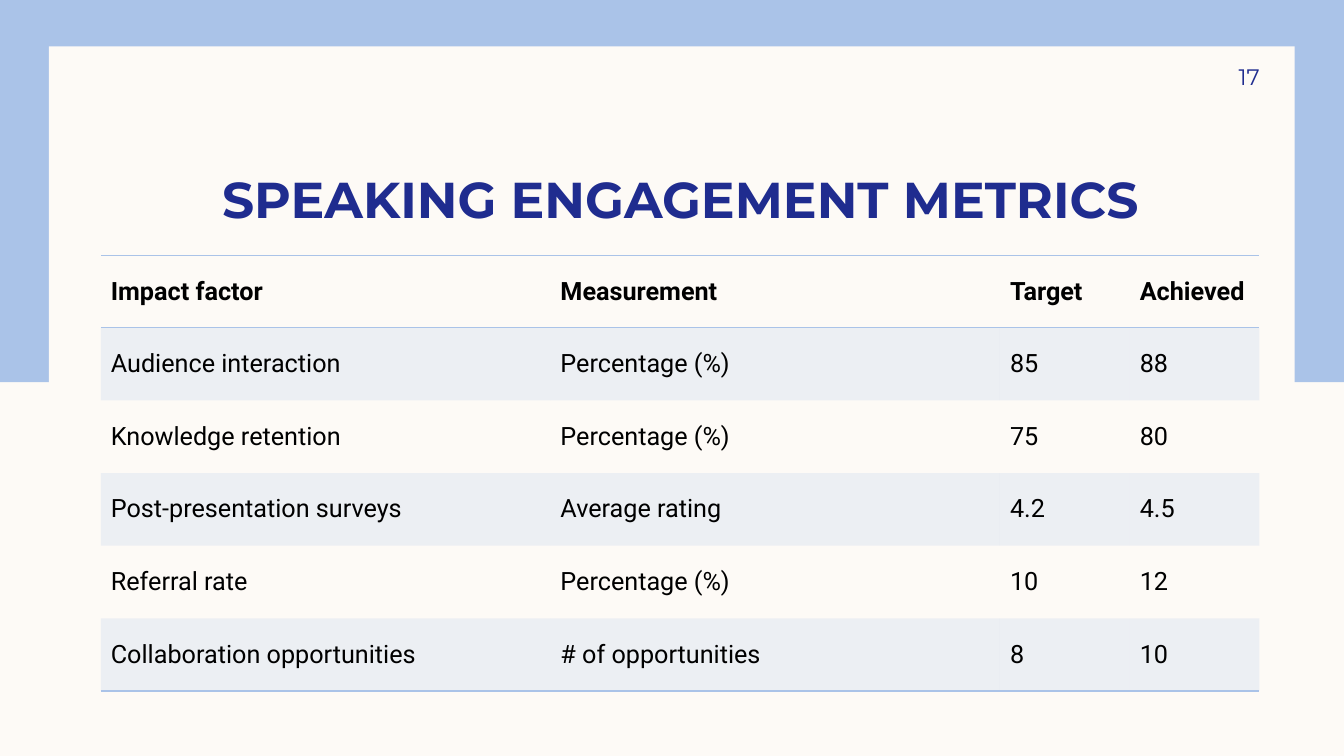
import pptx
import pptx.dml.color
import pptx.enum.shapes
import pptx.enum.text
import pptx.oxml
import pptx.oxml.ns
import pptx.util
from pptx.dml.color import RGBColor
from pptx.util import Cm

# Content
TITLE = "SPEAKING ENGAGEMENT METRICS"
PAGE_NUMBER = "17"
METRICS = [
    ("Impact factor", "Measurement", "Target", "Achieved"),
    ("Audience interaction", "Percentage (%)", "85", "88"),
    ("Knowledge retention", "Percentage (%)", "75", "80"),
    ("Post-presentation surveys", "Average rating", "4.2", "4.5"),
    ("Referral rate", "Percentage (%)", "10", "12"),
    ("Collaboration opportunities", "# of opportunities", "8", "10"),
]

# Format
CREAM = RGBColor(0xFD, 0xFA, 0xF6)
SKY = RGBColor(0xAA, 0xC3, 0xE8)
NAVY = RGBColor(0x1F, 0x2C, 0x8F)
BLACK = RGBColor(0, 0, 0)
BAND_ALPHA = 20000
NO_STYLE = "{2D5ABB26-0587-4C30-8999-92F81FD0307C}"

SLIDE_WIDTH, SLIDE_HEIGHT = Cm(33.87), Cm(19.05)
COLUMN_WIDTHS = [Cm(11.33), Cm(11.33), Cm(3.27), Cm(3.27)]
ROW_HEIGHT = Cm(1.83)
TABLE_LEFT, TABLE_TOP = Cm(2.54), Cm(6.43)

ANCHOR = pptx.enum.text.MSO_ANCHOR
ALIGN = pptx.enum.text.PP_ALIGN
TITLE_FONT = {"name": "Montserrat", "size": pptx.util.Pt(36), "bold": True}
NUMBER_FONT = {"name": "Montserrat", "size": pptx.util.Pt(16), "bold": False}
CELL_FONT = {"name": "Roboto", "size": pptx.util.Pt(18)}


def set_all(target, values):
    for name, value in values.items():
        setattr(target, name, value)


def write(paragraph, text, font, color):
    run = paragraph.add_run()
    run.text = text
    set_all(run.font, font)
    run.font.color.rgb = color


def add_panel(slide, left, top, width, height, color):
    panel = slide.shapes.add_shape(
        pptx.enum.shapes.MSO_SHAPE.RECTANGLE, left, top, width, height)
    panel.shadow.inherit = False
    panel.fill.solid()
    panel.fill.fore_color.rgb = color
    panel.line.fill.background()


def add_text(slide, box, text, font, frame_format, alignment):
    frame = slide.shapes.add_textbox(*box).text_frame
    set_all(frame, {"word_wrap": True, **frame_format})
    frame.paragraphs[0].alignment = alignment
    write(frame.paragraphs[0], text, font, NAVY)


def add_border(cell, side):
    properties = cell._tc.get_or_add_tcPr()
    properties.append(pptx.oxml.parse_xml(
        f'<a:{side} {pptx.oxml.ns.nsdecls("a")} w="12700"><a:solidFill>'
        f'<a:srgbClr val="{SKY}"/></a:solidFill></a:{side}>'))


def fill_band(cell):
    cell.fill.solid()
    cell.fill.fore_color.rgb = SKY
    color = cell._tc.tcPr.find(".//" + pptx.oxml.ns.qn("a:solidFill") + "[last()]/..")
    color = cell._tc.tcPr.find(pptx.oxml.ns.qn("a:solidFill"))[0]
    color.append(pptx.oxml.parse_xml(
        f'<a:alpha {pptx.oxml.ns.nsdecls("a")} val="{BAND_ALPHA}"/>'))


def add_metrics_table(slide):
    table = slide.shapes.add_table(
        len(METRICS), len(COLUMN_WIDTHS), TABLE_LEFT, TABLE_TOP,
        sum(COLUMN_WIDTHS), ROW_HEIGHT * len(METRICS)).table
    set_all(table, {"first_row": False, "horz_banding": False})
    table._tbl.tblPr.find(pptx.oxml.ns.qn("a:tableStyleId")).text = NO_STYLE
    for column, width in zip(table.columns, COLUMN_WIDTHS):
        column.width = width
    for row_index, values in enumerate(METRICS):
        table.rows[row_index].height = ROW_HEIGHT
        is_header = row_index == 0
        for column_index, text in enumerate(values):
            cell = table.cell(row_index, column_index)
            cell.vertical_anchor = ANCHOR.MIDDLE
            write(cell.text_frame.paragraphs[0], text,
                  {**CELL_FONT, "bold": is_header}, BLACK)
            # Rules around the header and below the last row
            if is_header:
                add_border(cell, "lnT")
            if is_header or row_index == len(METRICS) - 1:
                add_border(cell, "lnB")
            # Every other row is tinted
            if row_index % 2:
                fill_band(cell)
            else:
                cell.fill.background()


def main():
    presentation = pptx.Presentation()
    set_all(presentation, {"slide_width": SLIDE_WIDTH, "slide_height": SLIDE_HEIGHT})
    slide = presentation.slides.add_slide(presentation.slide_layouts[6])

    # Background and frame
    slide.background.fill.solid()
    slide.background.fill.fore_color.rgb = CREAM
    add_panel(slide, 0, 0, SLIDE_WIDTH, Cm(9.63), SKY)
    add_panel(slide, Cm(1.23), Cm(1.17), Cm(31.4), Cm(16.74), CREAM)

    # Title, table and page number
    add_text(slide, (Cm(2.54), Cm(2.95), Cm(29.21), Cm(2.82)), TITLE, TITLE_FONT,
             {"vertical_anchor": ANCHOR.BOTTOM, "margin_top": 0, "margin_bottom": 0},
             ALIGN.CENTER)
    add_metrics_table(slide)
    add_text(slide, (Cm(28.78), Cm(1.27), Cm(2.97), Cm(1.32)), PAGE_NUMBER, NUMBER_FONT,
             {"vertical_anchor": ANCHOR.MIDDLE, "margin_right": 0}, ALIGN.RIGHT)

    presentation.save("out.pptx")


if __name__ == "__main__":
    main()
